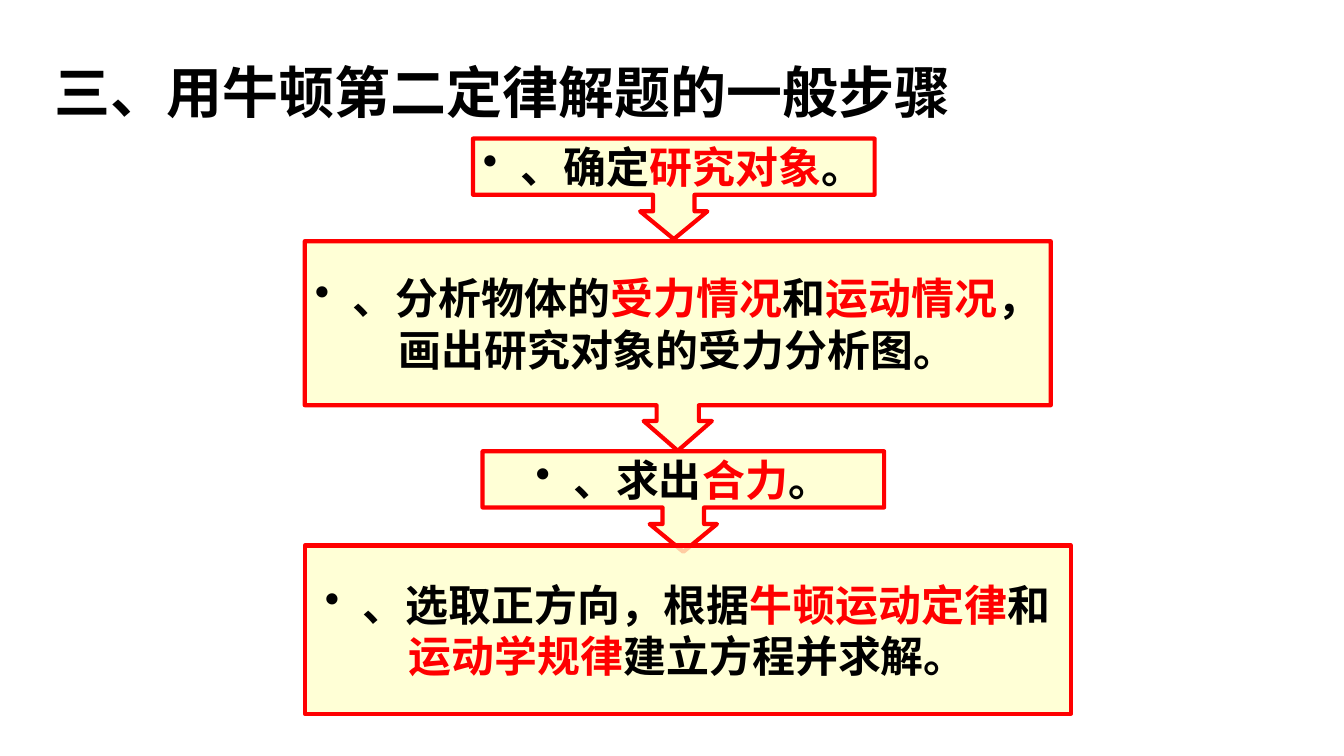
from lxml import etree
from pptx import Presentation
from pptx.dml.color import RGBColor
from pptx.enum import shapes, text
from pptx.oxml.ns import qn
from pptx.util import Cm, Pt

BLACK = RGBColor(0x00, 0x00, 0x00)
RED = RGBColor(0xFF, 0x00, 0x00)
CREAM = RGBColor(0xFF, 0xFF, 0xCC)
FONT = "Noto Sans CJK SC"
CALLOUT = shapes.MSO_SHAPE.DOWN_ARROW_CALLOUT
SMALL_ARROW = (0.413, 0.335, 0.276, 0.559)
WIDE_ARROW = (0.202, 0.163, 0.142, 0.783)

# Shape, adjustments, (left, top, width, height) in cm, lines; |...| marks red words
STEPS = [
    (CALLOUT, SMALL_ARROW, (8.94, 2.62, 7.59, 1.9), ["、确定|研究对象|。"]),
    (CALLOUT, WIDE_ARROW, (5.76, 4.56, 14.1, 3.96),
     ["、分析物体的|受力情况|和|运动情况|，", "画出研究对象的受力分析图。"]),
    (CALLOUT, SMALL_ARROW, (9.12, 8.53, 7.59, 1.9), ["、求出|合力|。"]),
    (shapes.MSO_SHAPE.RECTANGLE, (), (5.76, 10.31, 14.48, 3.18),
     ["、选取正方向，根据|牛顿运动定律|和", "|运动学规律|建立方程并求解。"]),
]


def write_line(paragraph, line, size):
    """Fill a centred paragraph, with the words between bars in red."""
    paragraph.alignment = text.PP_ALIGN.CENTER
    paragraph.line_spacing = Pt(size * 1.2)
    for index, words in enumerate(line.split("|")):
        if not words:
            continue
        run = paragraph.add_run()
        run.text = words
        run.font.size = Pt(size)
        run.font.bold = True
        run.font.color.rgb = RED if index % 2 else BLACK
        run.font.name = FONT
        etree.SubElement(run.font._element, qn("a:ea"), typeface=FONT)


def set_frame(text_frame, anchor, wrap):
    text_frame.auto_size = text.MSO_AUTO_SIZE.NONE
    text_frame.vertical_anchor = anchor
    text_frame.word_wrap = wrap
    text_frame.margin_left = text_frame.margin_right = Cm(0.2)
    text_frame.margin_top = text_frame.margin_bottom = Cm(0.1)


presentation = Presentation()
presentation.slide_width = Cm(25.4)
presentation.slide_height = Cm(25.4 * 9 / 16)
slide = presentation.slides.add_slide(presentation.slide_layouts[5])

for kind, adjustments, box, lines in STEPS:
    shape = slide.shapes.add_shape(kind, *map(Cm, box))
    for index, value in enumerate(adjustments):
        shape.adjustments[index] = value
    shape.shadow.inherit = False
    shape.fill.solid()
    shape.fill.fore_color.rgb = CREAM
    fill_color = shape._element.spPr.find(qn("a:solidFill")).find(qn("a:srgbClr"))
    etree.SubElement(fill_color, qn("a:alpha"), val="80000")
    shape.line.color.rgb = RED
    shape.line.width = Pt(2.25)

    set_frame(shape.text_frame, text.MSO_ANCHOR.MIDDLE, False)
    for index, line in enumerate(lines):
        paragraph = shape.text_frame.paragraphs[0] if index == 0 else shape.text_frame.add_paragraph()
        write_line(paragraph, line, 23)
        properties = paragraph._p.get_or_add_pPr()
        properties.set("marL", str(Cm(0.71)))
        properties.set("indent", str(-Cm(0.71)))
        if index == 0:
            bullet_color = etree.SubElement(properties, qn("a:buClr"))
            etree.SubElement(bullet_color, qn("a:srgbClr"), val=str(BLACK))
            etree.SubElement(properties, qn("a:buChar"), char="•")

title = slide.shapes.title
title.left, title.top, title.width, title.height = Cm(0), Cm(0.98), Cm(19), Cm(1.47)
set_frame(title.text_frame, text.MSO_ANCHOR.TOP, True)
write_line(title.text_frame.paragraphs[0], "三、用牛顿第二定律解题的一般步骤", 30)

presentation.save("out.pptx")
